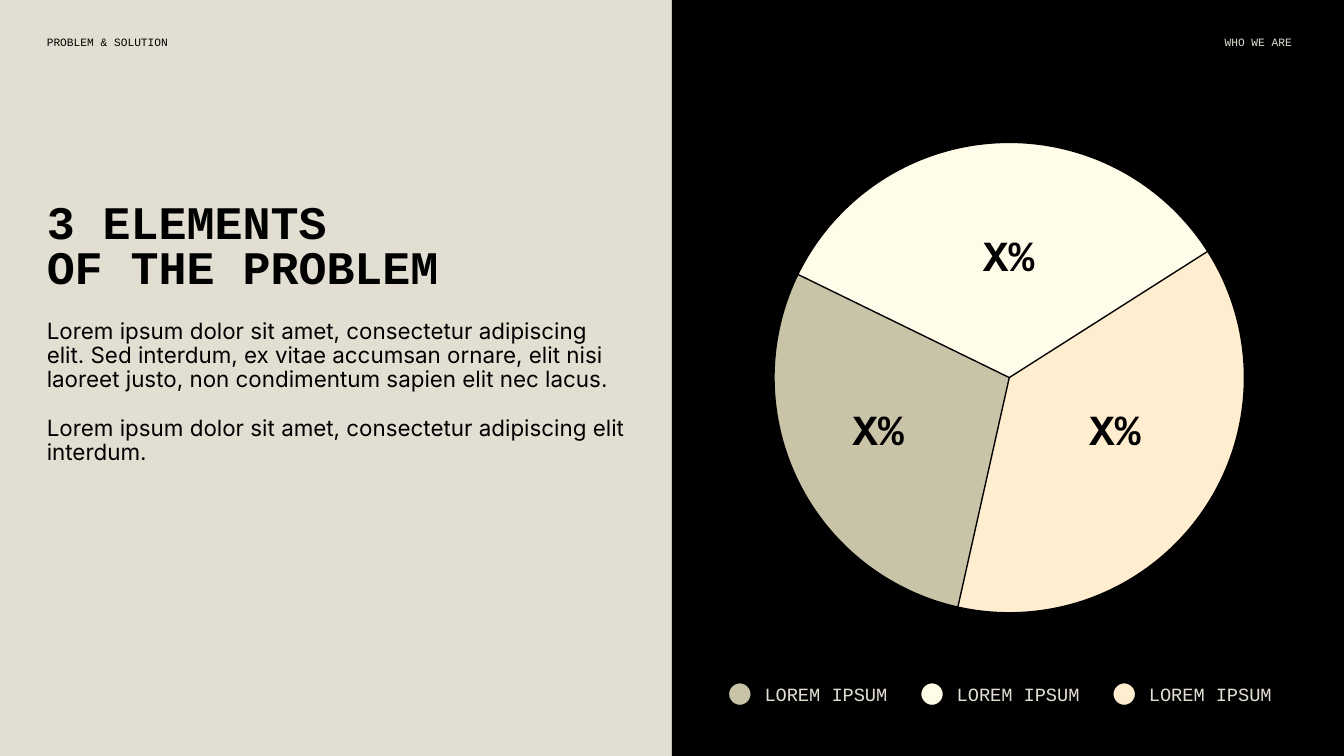
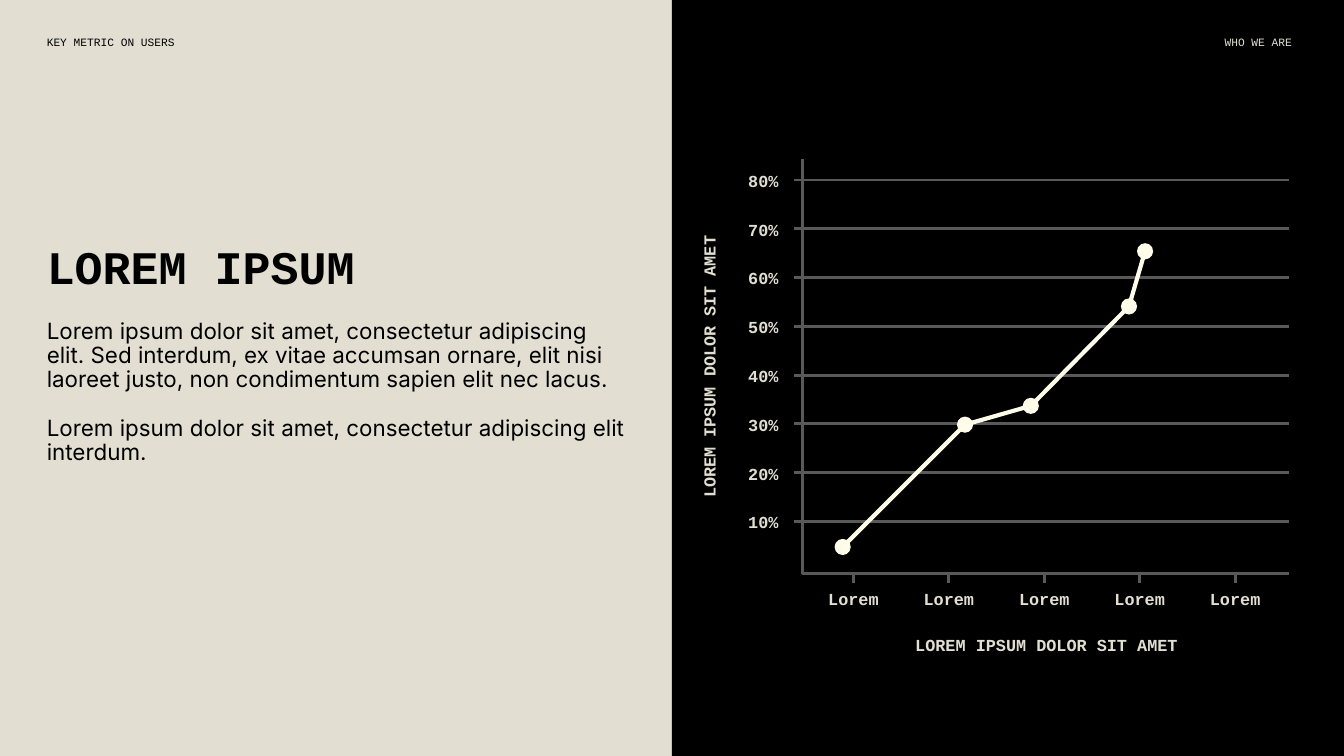
from itertools import pairwise

from lxml import etree
from pptx import Presentation
from pptx.dml.color import RGBColor
from pptx.enum.shapes import MSO_CONNECTOR as Connector, MSO_SHAPE as Shape
from pptx.enum.text import MSO_ANCHOR as Anchor, PP_ALIGN as Align
from pptx.oxml.ns import qn
from pptx.util import Inches, Pt

BLACK = RGBColor(0x00, 0x00, 0x00)
SAND = RGBColor(0xE2, 0xDF, 0xD2)
KHAKI = RGBColor(0xC9, 0xC3, 0xA7)
IVORY = RGBColor(0xFF, 0xFC, 0xE9)
PEACH = RGBColor(0xFF, 0xED, 0xCF)
GREY = RGBColor(0x59, 0x59, 0x59)
MONO, SANS = "Courier New", "Inter"
WIDTH = 10
HEIGHT = WIDTH * 9 / 16

BODY = [
    "Lorem ipsum dolor sit amet, consectetur adipiscing elit. Sed interdum, "
    "ex vitae accumsan ornare, elit nisi laoreet justo, non condimentum "
    "sapien elit nec lacus.",
    "Lorem ipsum dolor sit amet, consectetur adipiscing elit interdum.",
]


class SplitDeck:
    """Two-tone deck: text on a sand half, a figure on a black half."""

    def __init__(self):
        self.deck = Presentation()
        self.deck.slide_width = Inches(WIDTH)
        self.deck.slide_height = Inches(HEIGHT)
        self.page = None

    def add_page(self, section, title):
        self.page = self.deck.slides.add_slide(self.deck.slide_layouts[6])
        background = self.page.background.fill
        background.solid()
        background.fore_color.rgb = SAND
        self.shape(Shape.RECTANGLE, WIDTH / 2, 0, WIDTH / 2, HEIGHT, BLACK)
        self.text([section], 0.25, 0.18, 1.8, 0.26, 6, BLACK)
        self.text(["WHO WE ARE"], 7.91, 0.18, 1.8, 0.26, 6, align=Align.RIGHT)
        self.text(title, 0.25, 0.73, 4.5, 1.55, 25, BLACK, bold=True,
                  anchor=Anchor.BOTTOM, spacing=0.8)
        self.text(BODY, 0.25, 2.28, 4.5, 3.09, 12, BLACK, font=SANS,
                  anchor=Anchor.TOP, spacing=0.9, gap=13)

    def text(self, lines, left, top, width, height, size, color=SAND, font=MONO,
             bold=False, align=Align.LEFT, anchor=Anchor.MIDDLE, inset=0.1,
             spacing=1.0, gap=0):
        box = self.page.shapes.add_textbox(
            Inches(left), Inches(top), Inches(width), Inches(height))
        frame = box.text_frame
        frame.word_wrap = True
        frame.vertical_anchor = anchor
        frame.margin_left = frame.margin_right = Inches(inset)
        frame.margin_top = frame.margin_bottom = Inches(inset)
        for index, line in enumerate(lines):
            para = frame.add_paragraph() if index else frame.paragraphs[0]
            para.text = line
            para.alignment = align
            para.line_spacing = spacing
            if index and gap:
                para.space_before = Pt(gap)
            para.font.name = font
            para.font.size = Pt(size)
            para.font.bold = bold
            para.font.color.rgb = color
        return box

    def label(self, words, left, top, width=0.6, height=0.23, size=9, inset=0.1):
        return self.text([words], left, top, width, height, size, bold=True,
                         align=Align.CENTER, inset=inset)

    def shape(self, kind, left, top, width, height, fill, outline=None):
        shape = self.page.shapes.add_shape(
            kind, Inches(left), Inches(top), Inches(width), Inches(height))
        shape.shadow.inherit = False
        shape.fill.solid()
        shape.fill.fore_color.rgb = fill
        if outline is None:
            shape.line.fill.background()
        else:
            shape.line.color.rgb = outline
            shape.line.width = Pt(0.75)
        return shape

    def slice(self, start, end, fill):
        pie = self.shape(Shape.PIE, 5.76, 1.06, 3.5, 3.5, fill, BLACK)
        for index, degrees in enumerate((start, end)):
            pie.adjustments[index] = degrees * 0.6

    def line(self, start, end, color=GREY, weight=1.5):
        line = self.page.shapes.add_connector(
            Connector.STRAIGHT, *map(Inches, (*start, *end)))
        line.line.color.rgb = color
        line.line.width = Pt(weight)
        etree.SubElement(line._element.spPr, qn("a:effectLst"))


def add_problem_page(deck):
    deck.add_page("PROBLEM & SOLUTION", ["3 ELEMENTS", "OF THE PROBLEM"])
    for index, color in enumerate((KHAKI, IVORY, PEACH)):
        left = 5.42 + 1.43 * index
        deck.shape(Shape.OVAL, left, 5.08, 0.17, 0.17, color, BLACK)
        deck.text(["LOREM IPSUM"], left + 0.17, 5.08, 1.15, 0.17, 10)
    deck.slice(270.02, 270, KHAKI)
    deck.slice(270.02, 102.62, PEACH)
    deck.slice(206.02, 327.53, IVORY)
    for left, top in ((7.2, 1.77), (6.23, 3.06), (7.99, 3.06)):
        box = deck.label("X%", left, top, 0.61, 0.25, size=23, inset=0.07)
        box.text_frame.paragraphs[0].font.color.rgb = BLACK


def add_metric_page(deck):
    deck.add_page("KEY METRIC ON USERS", ["LOREM IPSUM"])
    axis_x, axis_y, right = 5.97, 4.27, 9.59
    grid_top, grid_bottom = 1.34, 3.88
    step = (grid_bottom - grid_top) / 7

    deck.line((axis_x, axis_y), (right, axis_y))
    deck.line((axis_x, axis_y), (axis_x, 1.18))
    for index in range(8):
        y = grid_top + step * index
        deck.line((5.91, y), (right, y))
        deck.label(f"{80 - 10 * index}%", 5.38, y - 0.11)
    for index in range(5):
        x = 6.35 + 0.71 * index
        deck.line((x, axis_y), (x, 4.34))
        deck.label("Lorem", x - 0.3, 4.34)

    points = [(6.27, 4.07), (7.18, 3.16), (7.67, 3.02), (8.4, 2.28), (8.52, 1.87)]
    for start, end in pairwise(points):
        deck.line(start, end, IVORY, 2.25)
    for x, y in points:
        deck.shape(Shape.OVAL, x - 0.06, y - 0.06, 0.12, 0.12, IVORY)

    axis_title = "LOREM IPSUM DOLOR SIT AMET"
    deck.label(axis_title, 3.73, 2.57, 3.09, 0.32, inset=0.05).rotation = 270
    deck.label(axis_title, 5.98, 4.64, 3.61, 0.32, inset=0.05)


def main():
    deck = SplitDeck()
    add_problem_page(deck)
    add_metric_page(deck)
    deck.deck.save("out.pptx")


if __name__ == "__main__":
    main()
